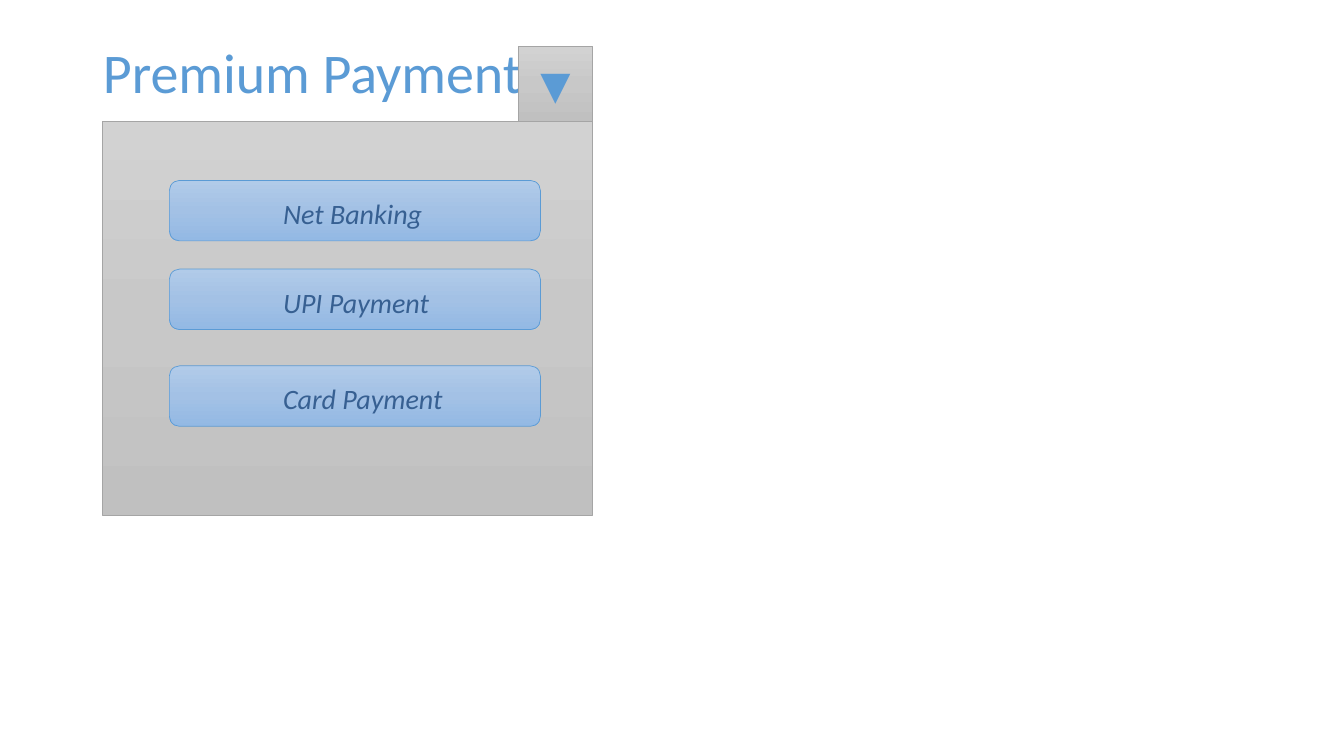
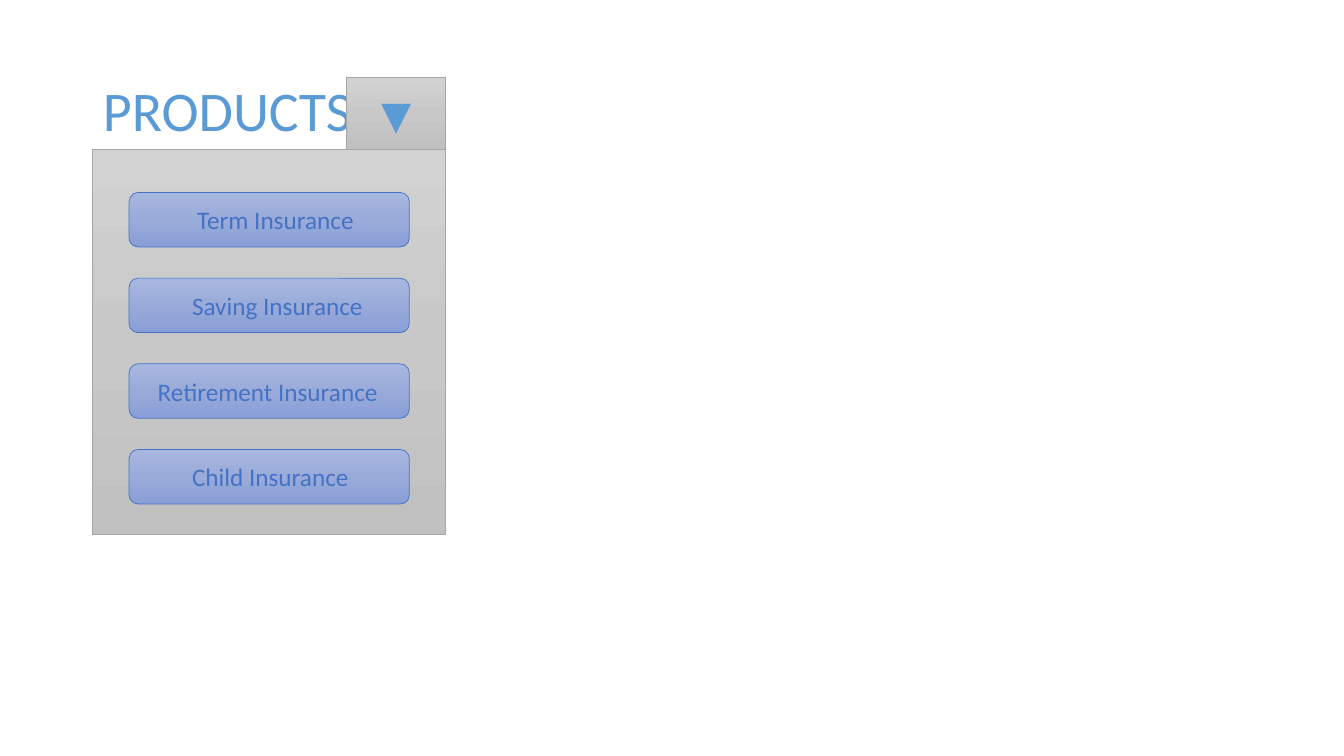
"""Build two slides that each show an opened dropdown menu."""
from copy import deepcopy
from dataclasses import dataclass

from pptx import Presentation
from pptx.dml.color import RGBColor
from pptx.enum.shapes import MSO_SHAPE as Shape
from pptx.enum.text import MSO_ANCHOR as Anchor, MSO_AUTO_SIZE as AutoSize, PP_ALIGN as Align
from pptx.util import Inches, Pt


@dataclass(frozen=True)
class Theme:
    font: str = "Calibri"
    accent: str = "5B9BD5"
    grey: tuple = ("D2D2D2", "C8C8C8", "C0C0C0")
    grey_line: str = "A5A5A5"
    sky: tuple = ("B1CBE9", "A3C1E5", "93B9E4")
    navy: str = "376092"
    indigo: tuple = ("A8B7DF", "9AABD9", "889ED7")
    indigo_line: str = "4472C4"
    title_size: int = 40
    arrow_size: int = 28
    payment_size: int = 20
    product_size: int = 18


theme = Theme()


def add_gradient_shape(slide, kind, box, colours, line_colour):
    shape = slide.shapes.add_shape(kind, *map(Inches, box))
    shape.shadow.inherit = False
    shape.fill.gradient()
    shape.fill.gradient_angle = 270
    stop_list = shape._element.xpath(".//a:gsLst")[0]
    stop_list.append(deepcopy(stop_list[0]))
    for stop, position, colour in zip(shape.fill.gradient_stops, (0, 0.5, 1), colours):
        stop.position = position
        stop.color.rgb = RGBColor.from_string(colour)
    shape.line.color.rgb = RGBColor.from_string(line_colour)
    shape.line.width = Pt(0.5)
    return shape


def write(shape, text, size, colour, align=Align.LEFT, italic=False):
    shape.text_frame.vertical_anchor = Anchor.MIDDLE
    paragraph = shape.text_frame.paragraphs[0]
    paragraph.alignment = align
    run = paragraph.add_run()
    run.text = text
    run.font.name = theme.font
    run.font.size = Pt(size)
    run.font.italic = italic
    run.font.color.rgb = RGBColor.from_string(colour)
    return paragraph


menus = [
    dict(
        title="Premium Payment", title_box=(0.92, 0.28, 4.86, 0.93),
        panel=(1.02, 1.2, 4.86, 3.91), toggle=(5.14, 0.46, 0.74, 0.74),
        left=1.68, width=3.68, height=0.6, tops=(1.79, 2.67, 3.63),
        options=[("Net Banking", 1), ("UPI Payment", 1), ("Card Payment", 1)],
        fill=theme.sky, line=theme.accent, ink=theme.navy,
        size=theme.payment_size, italic=True, spacing=1.15, after=10,
    ),
    dict(
        title="PRODUCTS", title_box=(0.92, 0.4, 11.5, 1.45),
        panel=(0.92, 1.48, 3.5, 3.82), toggle=(3.44, 0.77, 0.98, 0.71),
        left=1.28, width=2.78, height=0.54, tops=[1.91 + 0.85 * row for row in range(4)],
        options=[("Term Insurance", 0.55), ("Saving Insurance", 0.5),
                 ("Retirement Insurance", 0.16), ("Child Insurance", 0.5)],
        fill=theme.indigo, line=theme.indigo_line, ink=theme.indigo_line,
        size=theme.product_size, italic=False, spacing=1.0, after=0,
    ),
]

deck = Presentation()
deck.slide_width, deck.slide_height = Inches(13.33), Inches(7.5)
title_only = deck.slide_layouts[5]

for menu in menus:
    slide = deck.slides.add_slide(title_only)

    title = slide.shapes.title
    title.left, title.top, title.width, title.height = map(Inches, menu["title_box"])
    title.text_frame.auto_size = AutoSize.NONE
    write(title, menu["title"], theme.title_size, theme.accent).line_spacing = 0.9

    add_gradient_shape(slide, Shape.RECTANGLE, menu["panel"], theme.grey, theme.grey_line)
    toggle = add_gradient_shape(slide, Shape.RECTANGLE, menu["toggle"], theme.grey, theme.grey_line)
    write(toggle, "▼", theme.arrow_size, theme.accent, Align.CENTER)

    for (label, indent), top in zip(menu["options"], menu["tops"]):
        option = add_gradient_shape(
            slide, Shape.FLOWCHART_ALTERNATE_PROCESS,
            (menu["left"], top, menu["width"], menu["height"]), menu["fill"], menu["line"])
        paragraph = write(option, label, menu["size"], menu["ink"], italic=menu["italic"])
        paragraph.line_spacing = menu["spacing"]
        paragraph.space_after = Pt(menu["after"])
        paragraph._p.get_or_add_pPr().set("marL", str(Inches(indent)))

deck.save("out.pptx")
